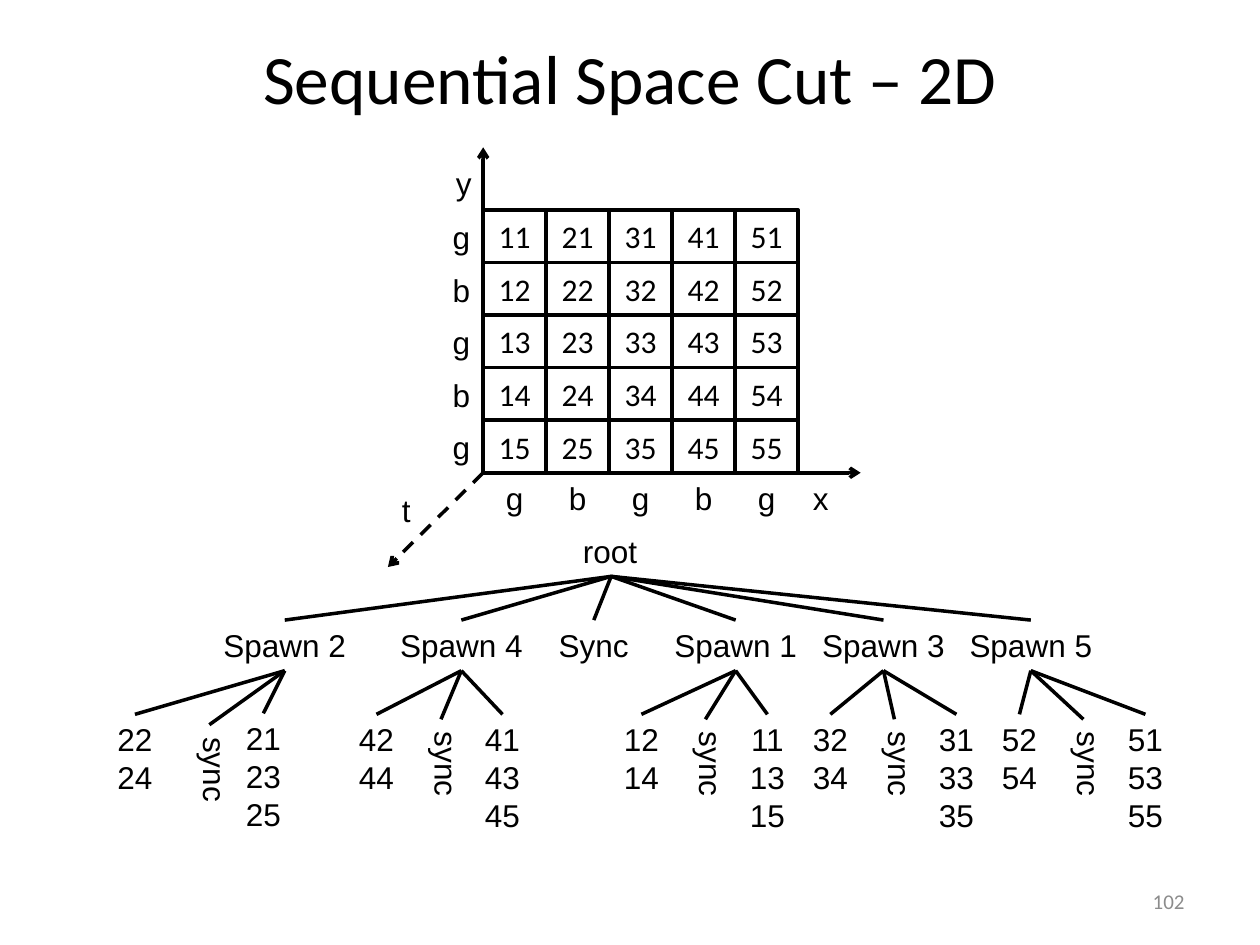
from lxml.etree import SubElement
from pptx import Presentation
from pptx.dml.color import RGBColor
from pptx.enum.dml import MSO_LINE
from pptx.enum.shapes import MSO_CONNECTOR, MSO_SHAPE
from pptx.enum.text import MSO_ANCHOR, MSO_AUTO_SIZE, PP_ALIGN
from pptx.oxml.ns import qn
from pptx.util import Cm, Pt

COLORS = {"ink": "000000", "paper": "FFFFFF", "number": "8C8C8C"}
TITLE = "Sequential Space Cut – 2D"
PAGE = "102"
MARKS = ["g", "b", "g", "b", "g"]

GRID_X, GRID_Y, CELL_W, CELL_H = 9.74, 4.23, 1.27, 1.06
ORIGIN = (GRID_X, 9.53)
AXES = [
    ((17.35, 9.53), False, "x", (16.54, 9.53)),
    ((9.74, 2.97), False, "y", (9.34, 3.18)),
    ((7.82, 11.43), True, "t", (8.19, 9.78)),
]

ROOT_X, ROOT_Y, SPAWN_Y, LEAF_Y, SYNC_Y = 12.32, 10.6, 12.5, 14.4, 14.5
TEXT_H, LINE_H = 1.02, 0.77
BRANCHES = [
    ("Spawn 2", 5.74, [(2.72, LEAF_Y, ["22", "24"]), (4.22, 14.61, ["sync"]),
                       (5.31, 14.38, ["21", "23", "25"])]),
    ("Spawn 4", 9.3, [(7.59, LEAF_Y, ["42", "44"]), (8.89, SYNC_Y, ["sync"]),
                      (10.13, LEAF_Y, ["41", "43", "45"])]),
    ("Sync", 11.97, []),
    ("Spawn 1", 14.83, [(12.93, LEAF_Y, ["12", "14"]), (14.22, SYNC_Y, ["sync"]),
                        (15.47, LEAF_Y, ["11", "13", "15"])]),
    ("Spawn 3", 17.81, [(16.74, LEAF_Y, ["32", "34"]), (18.03, SYNC_Y, ["sync"]),
                        (19.28, LEAF_Y, ["31", "33", "35"])]),
    ("Spawn 5", 20.78, [(20.55, LEAF_Y, ["52", "54"]), (21.84, SYNC_Y, ["sync"]),
                        (23.09, LEAF_Y, ["51", "53", "55"])]),
]

prs = Presentation()
prs.slide_width, prs.slide_height = Cm(25.4), Cm(19.05)
s = prs.slides.add_slide(prs.slide_layouts[6])


def rgb(name):
    return RGBColor.from_string(COLORS[name])


def write(tf, lines, font="Arial", size=18, color="ink", align=PP_ALIGN.CENTER):
    for i, line in enumerate(lines):
        p = tf.add_paragraph() if i else tf.paragraphs[0]
        p.text = line
        p.alignment = align
        p.font.name, p.font.size = font, Pt(size)
        p.font.color.rgb = rgb(color)


def add_label(x, y, lines, width, vertical=False):
    h = 1.57 if vertical else TEXT_H + LINE_H * (len(lines) - 1)
    sp = s.shapes.add_textbox(Cm(x - width / 2), Cm(y), Cm(width), Cm(h))
    tf = sp.text_frame
    tf.word_wrap = False
    tf.auto_size = MSO_AUTO_SIZE.SHAPE_TO_FIT_TEXT
    if vertical:
        sp.element.txBody.bodyPr.set("vert", "eaVert")
    write(tf, lines)


def add_banner(x, y, w, h, text, **style):
    tf = s.shapes.add_textbox(Cm(x), Cm(y), Cm(w), Cm(h)).text_frame
    tf.word_wrap = True
    tf.vertical_anchor = MSO_ANCHOR.MIDDLE
    write(tf, [text], font="Calibri", **style)


def add_line(start, end, arrow=False, dashed=False):
    ln = s.shapes.add_connector(MSO_CONNECTOR.STRAIGHT, *map(Cm, start + end))
    ln.line.color.rgb = rgb("ink")
    ln.line.width = Pt(2)
    if dashed:
        ln.line.dash_style = MSO_LINE.DASH
    if arrow:
        SubElement(ln.element.spPr.find(qn("a:ln")), qn("a:tailEnd"), type="arrow")
    SubElement(ln.element.spPr, qn("a:effectLst"))


def add_cell(col, row):
    sp = s.shapes.add_shape(MSO_SHAPE.RECTANGLE, Cm(GRID_X + col * CELL_W),
                            Cm(GRID_Y + row * CELL_H), Cm(CELL_W), Cm(CELL_H))
    sp.shadow.inherit = False
    sp.fill.solid()
    sp.fill.fore_color.rgb = rgb("paper")
    sp.line.color.rgb = rgb("ink")
    sp.line.width = Pt(2)
    sp.text_frame.vertical_anchor = MSO_ANCHOR.MIDDLE
    write(sp.text_frame, [f"{col + 1}{row + 1}"], font="Calibri")


add_banner(1.27, 0.76, 22.86, 1.57, TITLE, size=39.6)
add_banner(18.21, 17.65, 5.92, 1.02, PAGE, size=12, color="number", align=PP_ALIGN.RIGHT)

for row in range(len(MARKS)):
    for col in range(len(MARKS)):
        add_cell(col, row)

for end, dashed, name, (x, y) in AXES:
    add_line(ORIGIN, end, arrow=True, dashed=dashed)
    add_label(x, y, [name], 0.8)

for i, mark in enumerate(MARKS):
    add_label(9.3, GRID_Y + 0.04 + i * CELL_H, [mark], 0.86)
    add_label(GRID_X + (i + 0.5) * CELL_W, ORIGIN[1], [mark], 0.86)

add_label(ROOT_X - 0.02, ROOT_Y, ["root"], 1.63)
for name, x, leaves in BRANCHES:
    add_line((ROOT_X, ROOT_Y + TEXT_H), (x, SPAWN_Y))
    add_label(x, SPAWN_Y, [name], 3 if leaves else 1.93)
    for leaf_x, leaf_y, lines in leaves:
        is_sync = lines == ["sync"]
        add_line((x, SPAWN_Y + TEXT_H), (leaf_x, leaf_y))
        add_label(leaf_x, leaf_y, lines, 1.27 if is_sync else 1.22, vertical=is_sync)

prs.save("out.pptx")
